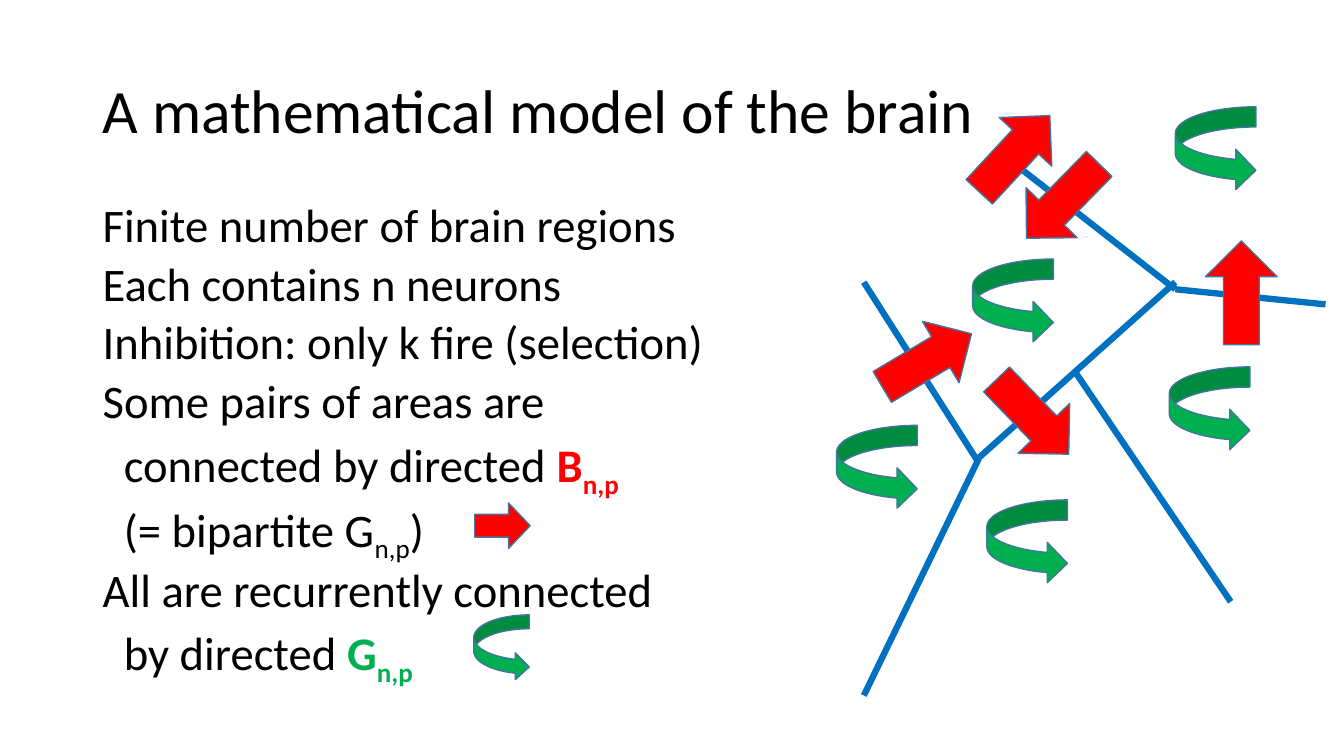
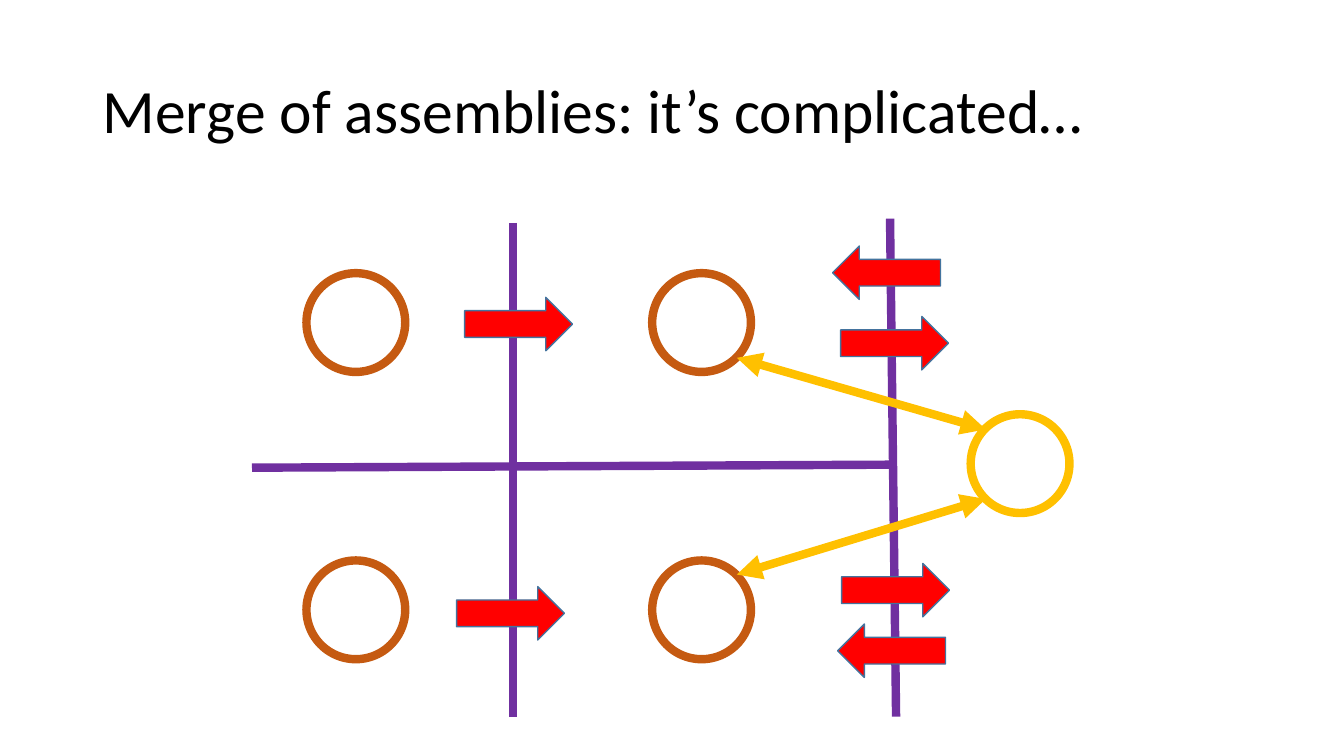
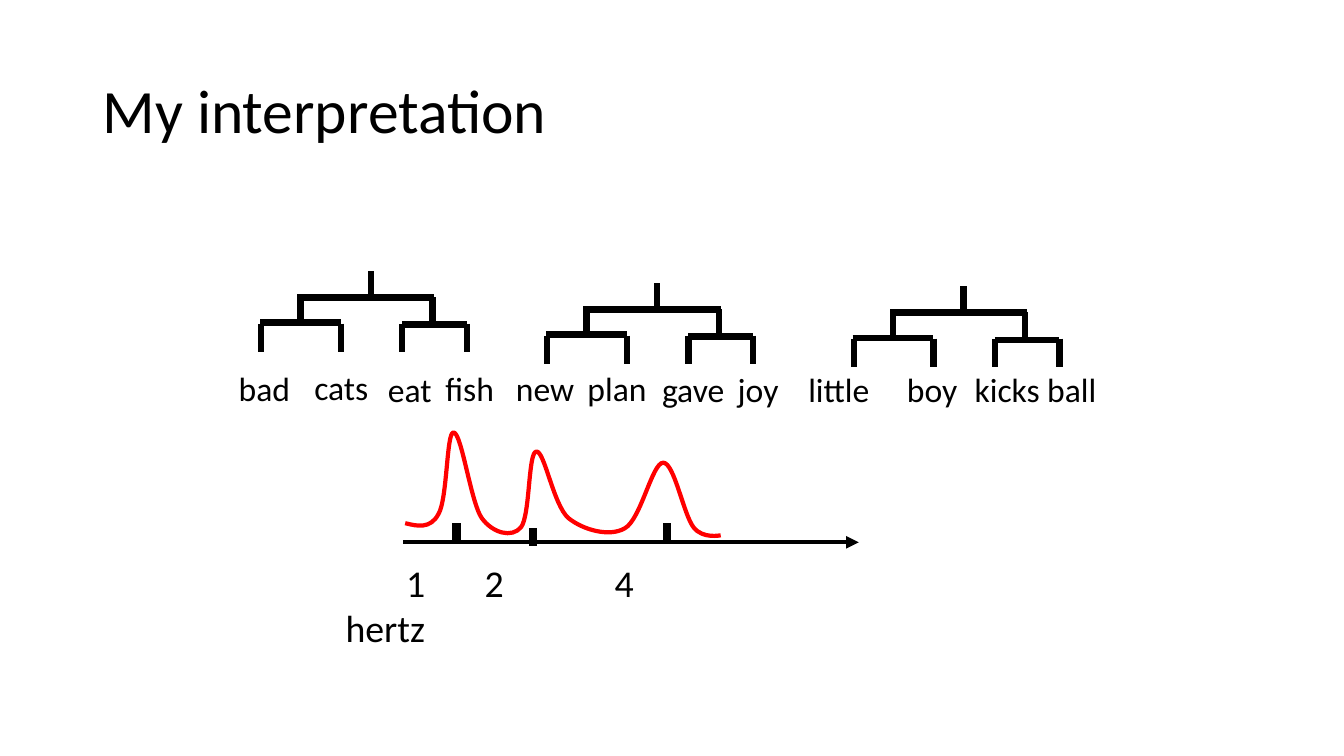
from lxml.etree import SubElement
from pptx import Presentation
from pptx.dml.color import RGBColor
from pptx.enum.shapes import MSO_CONNECTOR, MSO_SHAPE
from pptx.enum.text import MSO_ANCHOR
from pptx.oxml.ns import qn
from pptx.util import Emu, Pt

PX = 9144
WIDE = Emu(12192000)
HIGH = Emu(6858000)
FONT = "Calibri"
BLACK = RGBColor(0x00, 0x00, 0x00)
RED = RGBColor(0xFF, 0x00, 0x00)
GREEN = RGBColor(0x00, 0xB0, 0x50)
BLUE = RGBColor(0x00, 0x70, 0xC0)
EDGE = RGBColor(0x43, 0x73, 0x9E)
PURPLE = RGBColor(0x70, 0x30, 0xA0)
BROWN = RGBColor(0xC5, 0x5A, 0x11)
GOLD = RGBColor(0xFF, 0xC0, 0x00)

BODY = [
    (0, [("Finite number of brain regions", BLACK, False)]),
    (0, [("Each contains n neurons", BLACK, False)]),
    (0, [("Inhibition: only k fire (selection)", BLACK, False)]),
    (0, [("Some pairs of areas are", BLACK, False)]),
    (21, [("connected by directed ", BLACK, False), ("B", RED, False),
          ("n,p", RED, True)]),
    (21, [("(= bipartite G", BLACK, False), ("n,p", BLACK, True),
          (")", BLACK, False)]),
    (0, [("All are recurrently connected", BLACK, False)]),
    (21, [("by directed ", BLACK, False), ("G", GREEN, False),
          ("n,p", GREEN, True)]),
]
BORDERS = [(27, 180, 139, 356), (139, 356, 336, 180), (163, 52, 336, 187),
           (485, 202, 336, 187), (27, 590, 141, 355), (391, 497, 236, 268)]
ARROWS = [(173, 64, 314.4), (125, 17, 132.8), (38, 222, 149.2),
          (143, 278, 226), (350, 155, 90)]
LOOPS = [(149, 396), (135, 157), (330, 264), (336, 6), (0, 322)]

WALLS = [(259, 4, 259, 494), (633, 0, 639, 494), (0, 247, 635, 244)]
RINGS = [(x, y, BROWN) for x in (54, 397) for y in (54, 339)] + [(713, 194, GOLD)]
FLOWS = [(211, 78, 0), (203, 365, 0), (584, 97, 0), (585, 342, 0),
         (576, 27, 180), (581, 402, 180)]
LINKS = [(481, 138, 728, 209), (481, 353, 728, 278)]

TREES = [(259, 269), (543, 281), (847, 284)]
TWIGS = [(x, 52, x, 80) for x in (0, 79, 140, 204)] + [
    (-1, 51, 79, 51), (140, 53, 204, 53), (170, 26, 170, 54),
    (39, 23, 39, 51), (37, 26, 172, 26), (109, 0, 109, 27)]
WORDS = [("bad", 0, 1, 75), ("cats", 75, 0, 76), ("eat", 148, 2, 65),
         ("fish", 205, 1, 69), ("new", 275, 1, 80), ("plan", 346, 1, 79),
         ("gave", 420, 2, 86), ("joy", 495, 2, 61), ("little", 565, 2, 82),
         ("boy", 663, 2, 73), ("kicks", 730, 2, 88), ("ball", 802, 2, 71)]
TICKS = [(329, 90, 109), (120, 90, 109), (196, 95, 113)]
STOPS = [60, 138, 267]
START = (69, 90)
CURVES = [
    ((81, 93), (94, 96), (102, 81)), ((111, 66), (110, -1), (117, 0)),
    ((125, 0), (134, 69), (145, 85)), ((156, 100), (175, 105), (184, 94)),
    ((193, 82), (191, 20), (199, 19)), ((207, 17), (216, 72), (231, 85)),
    ((246, 97), (272, 104), (287, 95)), ((303, 86), (314, 30), (325, 30)),
    ((336, 30), (345, 81), (355, 94)), ((364, 106), (382, 102), (382, 102)),
]


def px(*sizes):
    """Turn px lengths into EMU."""
    return [Emu(size * PX) for size in sizes]


def style(par, size, color=None):
    """Set the font of a paragraph."""
    par.font.name = FONT
    par.font.size = Pt(size)
    if color is not None:
        par.font.color.rgb = color


def box(slide, left, top, width, height, wrap=True):
    """Add an empty text box and return its frame."""
    frame = slide.shapes.add_textbox(*px(left, top, width, height)).text_frame
    frame.word_wrap = wrap
    return frame


def line(slide, left, top, ends, color, width, head=False, tail=False):
    """Draw a line whose ends are relative to left and top."""
    x1, y1, x2, y2 = ends
    item = slide.shapes.add_connector(
        MSO_CONNECTOR.STRAIGHT, *px(left + x1, top + y1, left + x2, top + y2))
    item.line.color.rgb = color
    item.line.width = Pt(width)
    stroke = item.line._get_or_add_ln()
    for tag, wanted in (("a:headEnd", head), ("a:tailEnd", tail)):
        if wanted:
            SubElement(stroke, qn(tag), type="triangle")
    SubElement(item._element.spPr, qn("a:effectLst"))


def shape(slide, kind, area, fill, edge=EDGE, width=1, turn=0, adjust=()):
    """Draw a preset shape, hollow when fill is None."""
    item = slide.shapes.add_shape(kind, *px(*area))
    item.shadow.inherit = False
    item.rotation = turn
    for index, value in enumerate(adjust):
        item.adjustments[index] = value
    if fill is None:
        item.fill.background()
    else:
        item.fill.solid()
        item.fill.fore_color.rgb = fill
    item.line.color.rgb = edge
    item.line.width = Pt(width)


def page(deck, title):
    """Add a blank slide with the shared title."""
    slide = deck.slides.add_slide(deck.slide_layouts[6])
    frame = box(slide, 92, 40, 1150, 145)
    frame.vertical_anchor = MSO_ANCHOR.MIDDLE
    par = frame.paragraphs[0]
    par.text = title
    par.line_spacing = 0.9
    style(par, 44, BLACK)
    return slide


def body(slide, left, top, width, height):
    """Write the model's rules with their two key symbols."""
    frame = box(slide, left, top, width, height)
    for index, (indent, runs) in enumerate(BODY):
        par = frame.paragraphs[0] if index == 0 else frame.add_paragraph()
        par.line_spacing = 0.8
        if index:
            par.space_before = Pt(10)
        par._p.get_or_add_pPr().set("marL", str(indent * PX))
        style(par, 33.3)
        for text, color, sub in runs:
            run = par.add_run()
            run.text = text
            run.font.color.rgb = color
            run.font.bold = color != BLACK
            if sub:
                run._r.get_or_add_rPr().set("baseline", "-25000")
    shape(slide, MSO_SHAPE.LEFT_ARROW, (left + 379, top + 299, 55, 45), RED,
          turn=180, adjust=(0.5, 0.477))
    shape(slide, MSO_SHAPE.CURVED_RIGHT_ARROW, (left + 378, top + 410, 55, 65),
          GREEN, adjust=(0.25, 0.484, 0.25))


def brain(slide, left, top):
    """Draw the brain regions and their connections."""
    for ends in BORDERS:
        line(slide, left, top, ends, BLUE, 4.5)
    for x, y, turn in ARROWS:
        shape(slide, MSO_SHAPE.LEFT_ARROW, (left + x, top + y, 103, 71), RED, turn=turn)
    for x, y in LOOPS:
        shape(slide, MSO_SHAPE.CURVED_RIGHT_ARROW, (left + x, top + y, 80, 83), GREEN)


def merge(slide, left, top):
    """Draw assemblies in walled areas merging into one."""
    for ends in WALLS:
        line(slide, left, top, ends, PURPLE, 6)
    for x, y, color in RINGS:
        shape(slide, MSO_SHAPE.OVAL, (left + x, top + y, 98, 98), None, color, 6)
    for x, y, turn in FLOWS:
        shape(slide, MSO_SHAPE.RIGHT_ARROW, (left + x, top + y, 107, 53), RED, turn=turn)
    for ends in LINKS:
        line(slide, left, top, ends, GOLD, 6, head=True, tail=True)


def words(slide, left, top):
    """Write the row of words under the trees."""
    for text, x, y, width in WORDS:
        par = box(slide, left + x, top + y, width, 50, wrap=False).paragraphs[0]
        par.text = text
        style(par, 24, BLACK)


def tree(slide, left, top):
    """Draw one syntax tree over four words."""
    for ends in TWIGS:
        line(slide, left, top, ends, BLACK, 4.5)


def curve(slide, left, top):
    """Draw the red spectrum as a chain of cubic curves."""
    pen = slide.shapes.build_freeform(*START, scale=PX)
    pen.add_line_segments([end for _, _, end in CURVES], close=False)
    item = pen.convert_to_shape(*px(left, top))
    low = min(y for _, _, (_, y) in CURVES)
    for step, points in zip(list(item._element.iter(qn("a:lnTo"))), CURVES):
        step.tag = qn("a:cubicBezTo")
        step.clear()
        for x, y in points:
            SubElement(step, qn("a:pt"), x=str(x - START[0]), y=str(y - low))
    item.shadow.inherit = False
    item.fill.background()
    item.line.color.rgb = RED
    item.line.width = Pt(3)


def wave(slide, left, top):
    """Draw the spectrum with its axis, ticks and labels."""
    line(slide, left, top, (67, 109, 519, 109), BLACK, 3, tail=True)
    par = box(slide, left, top + 121, 388, 101).paragraphs[0]
    tabs = SubElement(par._p.get_or_add_pPr(), qn("a:tabLst"))
    for stop in STOPS:
        SubElement(tabs, qn("a:tab"), pos=str(stop * PX), algn="l")
    par.text = "\t1\t2\t4 hertz"
    style(par, 27, BLACK)
    for x, y1, y2 in TICKS:
        line(slide, left, top, (x, y1, x, y2), BLACK, 6)
    curve(slide, left, top)


def main():
    """Build and save the three slides."""
    deck = Presentation()
    deck.slide_width, deck.slide_height = WIDE, HIGH
    slide = page(deck, "A mathematical model of the brain")
    body(slide, 92, 200, 1150, 476)
    brain(slide, 830, 100)
    slide = page(deck, "Merge of assemblies: it’s complicated…")
    merge(slide, 250, 217)
    slide = page(deck, "My interpretation")
    words(slide, 227, 359)
    wave(slide, 333, 429)
    for left, top in TREES:
        tree(slide, left, top)
    deck.save("out.pptx")


if __name__ == "__main__":
    main()
